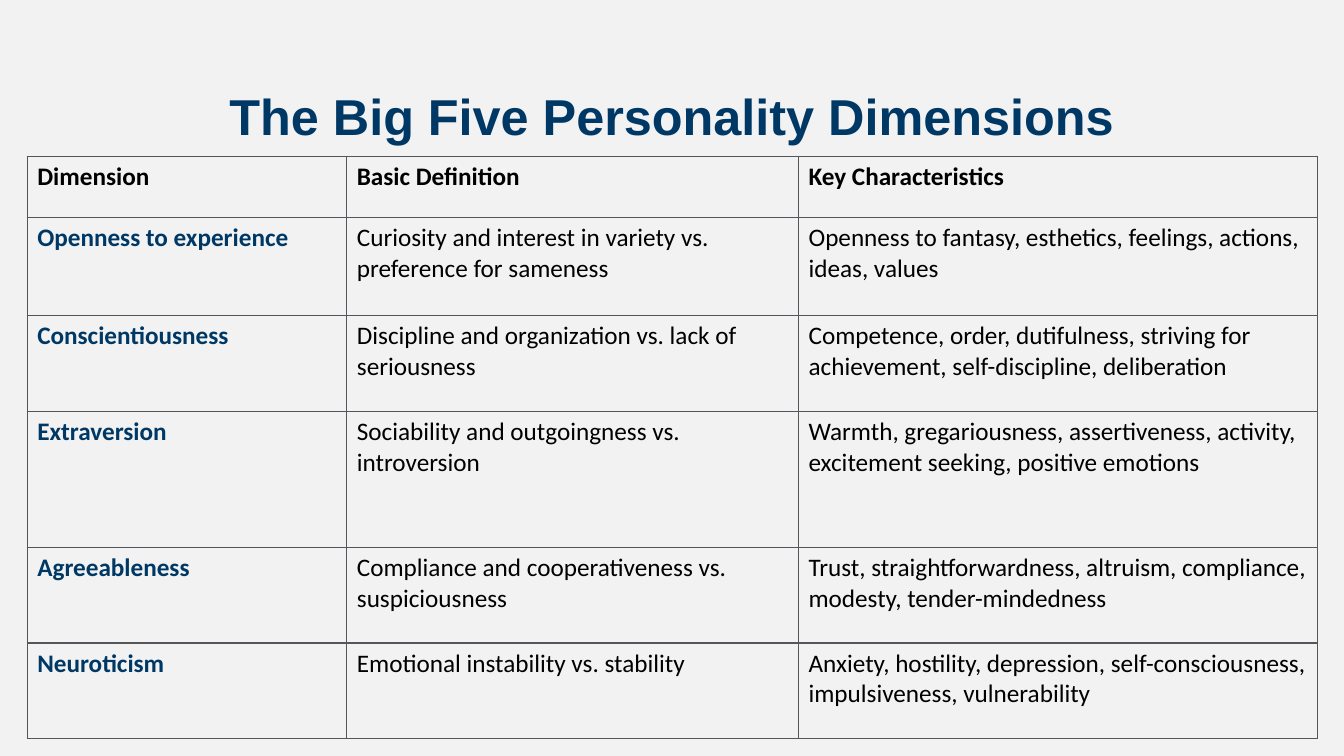
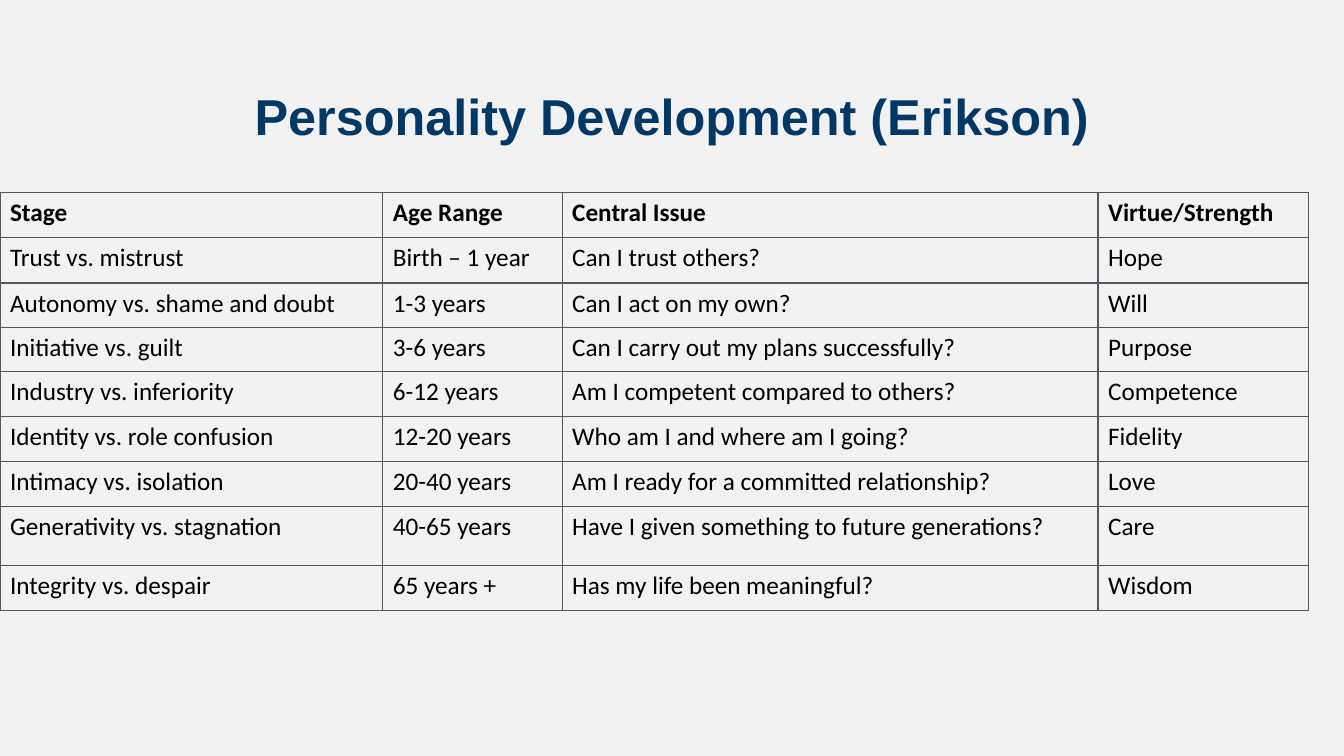
from lxml import etree
from pptx import Presentation
from pptx.dml.color import RGBColor
from pptx.enum.text import MSO_ANCHOR, PP_ALIGN
from pptx.oxml.ns import qn
from pptx.util import Inches, Pt

MIDDLE = MSO_ANCHOR.MIDDLE
CENTER = PP_ALIGN.CENTER

NAVY = RGBColor(0x00, 0x38, 0x65)
BLACK = RGBColor(0x00, 0x00, 0x00)
GRAY = RGBColor(0x53, 0x56, 0x5A)
PALE = RGBColor(0xF2, 0xF2, 0xF2)

SLIDE_SIZE = (13.33, 7.5)
TITLE_BOX = (0.52, 0.52, 12.29, 1.33)
BORDER_WIDTH = Pt(1)
BORDER_SIDES = ("a:lnL", "a:lnR", "a:lnT", "a:lnB")

TITLE_FONT = {"name": "Arial", "size": Pt(36), "bold": True}
STRONG_FONT = {"name": "Calibri", "size": Pt(18), "bold": True}
BODY_FONT = {**STRONG_FONT, "bold": False}

BIG_FIVE = {
    "title": "The Big Five Personality Dimensions",
    "box": (0.27, 1.55, 12.8, 5.78),
    "columns": (3.17, 4.48, 5.15),
    "rows": (0.61, 0.97, 0.95, 1.35, 0.95, 0.95),
    "key_column": True,
    "cells": (
        ("Dimension", "Basic Definition", "Key Characteristics"),
        ("Openness to experience",
         "Curiosity and interest in variety vs. preference for sameness",
         "Openness to fantasy, esthetics, feelings, actions, ideas, values"),
        ("Conscientiousness",
         "Discipline and organization vs. lack of seriousness",
         "Competence, order, dutifulness, striving for achievement, "
         "self-discipline, deliberation"),
        ("Extraversion",
         "Sociability and outgoingness vs. introversion",
         "Warmth, gregariousness, assertiveness, activity, "
         "excitement seeking, positive emotions"),
        ("Agreeableness",
         "Compliance and cooperativeness vs. suspiciousness",
         "Trust, straightforwardness, altruism, compliance, "
         "modesty, tender-mindedness"),
        ("Neuroticism",
         "Emotional instability vs. stability",
         "Anxiety, hostility, depression, self-consciousness, "
         "impulsiveness, vulnerability"),
    ),
}

ERIKSON = {
    "title": "Personality Development (Erikson)",
    "box": (0, 1.91, 12.98, 4.15),
    "columns": (3.8, 1.78, 5.32, 2.09),
    "rows": (0.45, 0.45, 0.44, 0.44, 0.45, 0.45, 0.44, 0.59, 0.45),
    "key_column": False,
    "cells": (
        ("Stage", "Age Range", "Central Issue", "Virtue/Strength"),
        ("Trust vs. mistrust", "Birth – 1 year", "Can I trust others?", "Hope"),
        ("Autonomy vs. shame and doubt", "1-3 years", "Can I act on my own?", "Will"),
        ("Initiative vs. guilt", "3-6 years",
         "Can I carry out my plans successfully?", "Purpose"),
        ("Industry vs. inferiority", "6-12 years",
         "Am I competent compared to others?", "Competence"),
        ("Identity vs. role confusion", "12-20 years",
         "Who am I and where am I going?", "Fidelity"),
        ("Intimacy vs. isolation", "20-40 years",
         "Am I ready for a committed relationship?", "Love"),
        ("Generativity vs. stagnation", "40-65 years",
         "Have I given something to future generations?", "Care"),
        ("Integrity vs. despair", "65 years +",
         "Has my life been meaningful?", "Wisdom"),
    ),
}


def write_text(para, text, style, color):
    """Add one formatted span to a paragraph."""
    span = para.add_run()
    span.text = text
    for name, value in style.items():
        setattr(span.font, name, value)
    span.font.color.rgb = color


def add_title(page, text):
    """Place the centred slide title."""
    box = page.shapes.add_textbox(*map(Inches, TITLE_BOX))
    frame = box.text_frame
    frame.word_wrap = True
    frame.vertical_anchor = MIDDLE
    para = frame.paragraphs[0]
    para.alignment = CENTER
    para.line_spacing = 0.9
    write_text(para, text, TITLE_FONT, NAVY)


def add_borders(cell):
    """Draw a thin line on all four sides of a cell."""
    properties = cell._tc.get_or_add_tcPr()
    for position, side in enumerate(BORDER_SIDES):
        line = etree.Element(qn(side), w=str(BORDER_WIDTH))
        fill = etree.SubElement(line, qn("a:solidFill"))
        etree.SubElement(fill, qn("a:srgbClr"), val=str(GRAY))
        properties.insert(position, line)


def add_grid(page, box, columns, rows, cells, key_column):
    """Place a table whose columns and rows share the box by weight."""
    left, top, width, height = map(Inches, box)
    frame = page.shapes.add_table(len(rows), len(columns), left, top, width, height)
    table = frame.table
    table.first_row = False
    table.horz_banding = False
    for column, weight in zip(table.columns, columns):
        column.width = round(width * weight / sum(columns))
    for row, weight in zip(table.rows, rows):
        row.height = round(height * weight / sum(rows))
    for row_index, texts in enumerate(cells):
        for column_index, text in enumerate(texts):
            cell = table.cell(row_index, column_index)
            cell.fill.background()
            add_borders(cell)
            is_header = row_index == 0
            is_key = key_column and column_index == 0 and not is_header
            style = STRONG_FONT if is_header or is_key else BODY_FONT
            color = NAVY if is_key else BLACK
            write_text(cell.text_frame.paragraphs[0], text, style, color)


def add_table_slide(deck, title, **grid):
    """Add a slide with a title above a table."""
    page = deck.slides.add_slide(deck.slide_layouts[6])
    add_title(page, title)
    add_grid(page, **grid)


def main():
    """Build and save the deck."""
    deck = Presentation()
    deck.slide_width, deck.slide_height = map(Inches, SLIDE_SIZE)
    backdrop = deck.slide_master.background.fill
    backdrop.solid()
    backdrop.fore_color.rgb = PALE
    for content in (BIG_FIVE, ERIKSON):
        add_table_slide(deck, **content)
    deck.save("out.pptx")


if __name__ == "__main__":
    main()
